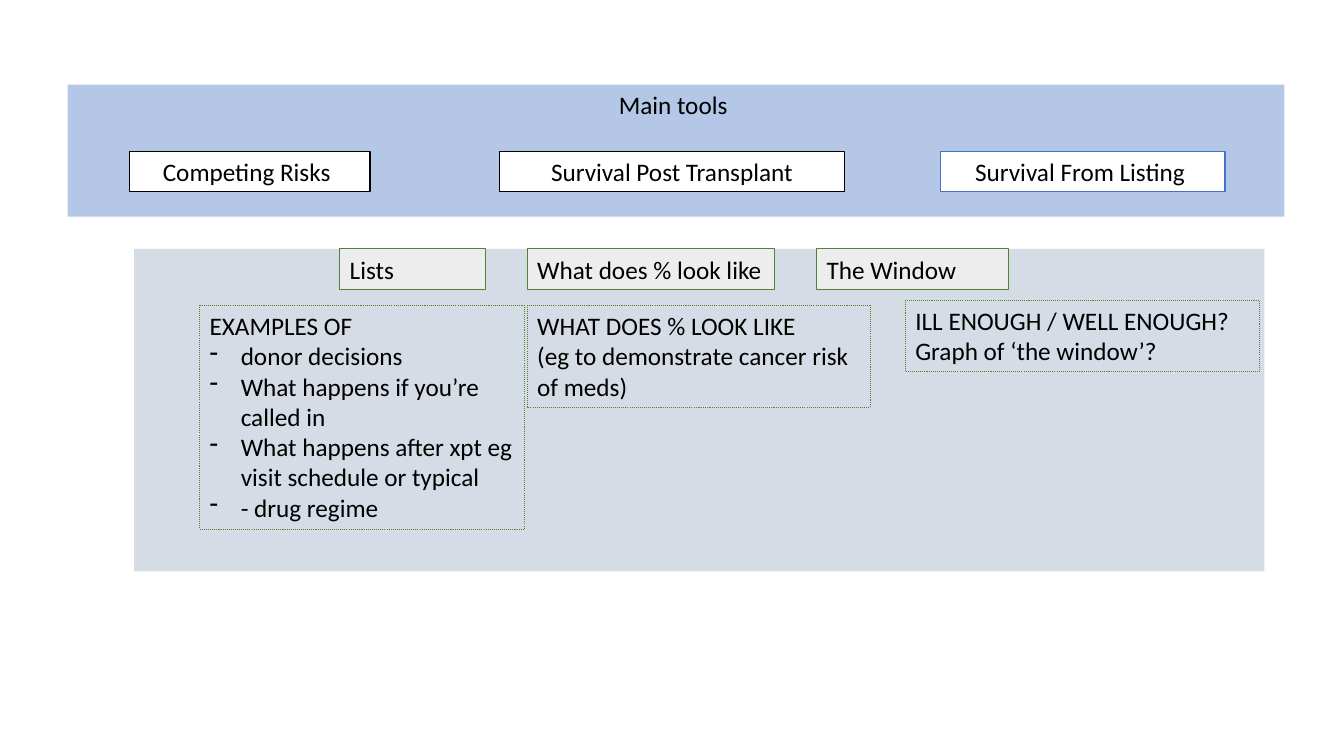
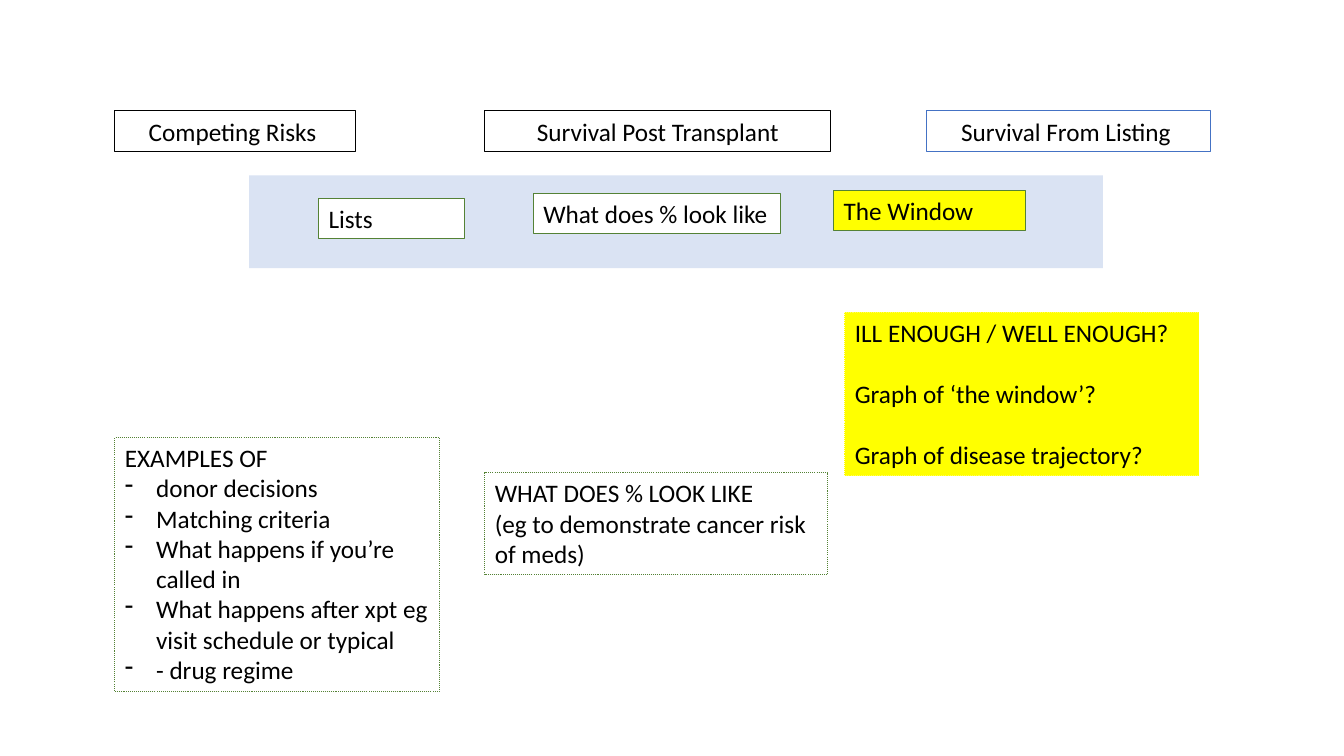
import pptx
import pptx.util
import pptx.dml.color
import pptx.enum.dml
import pptx.enum.shapes
import pptx.enum.text
import pptx.oxml.ns
from lxml import etree

Inches = pptx.util.Inches
Pt = pptx.util.Pt

BLACK, WHITE, BLUE, GREEN = "000000", "FFFFFF", "4472C4", "548235"
YELLOW, PALE_GREY = "FFFF00", "EDEDED"
ROW_HEIGHT = 0.4
TOOLS = [
    ("Competing Risks ", 0, 2.39, BLACK),
    ("Survival Post Transplant", 3.67, 3.43, BLACK),
    ("Survival From Listing ", 8.05, 2.82, BLUE),
]
TOPICS = [("Lists", 1.45), ("What does % look like", 2.45), ("The Window", 1.9)]
PERCENT_NOTE = ["WHAT DOES % LOOK LIKE", "(eg to demonstrate cancer risk of meds)"]
WINDOW_NOTE = ["ILL ENOUGH / WELL ENOUGH?", "Graph of ‘the window’?"]
EXAMPLES = [
    "donor decisions",
    "What happens if you’re called in",
    "What happens after xpt eg visit schedule or typical",
    "- drug regime",
]


def rgb(color):
    return pptx.dml.color.RGBColor.from_string(color)


class Deck:
    font = "Calibri"
    size = Pt(18)
    indent = Inches(0.31)

    def __init__(self):
        self.prs = pptx.Presentation()
        self.prs.slide_width = Inches(13.33)
        self.prs.slide_height = Inches(7.5)

    def new_slide(self):
        self.slide = self.prs.slides.add_slide(self.prs.slide_layouts[6])

    def set_lines(self, shape, lines, centred=False, bulleted=False, gap=0):
        frame = shape.text_frame
        frame.word_wrap = True
        frame.vertical_anchor = pptx.enum.text.MSO_ANCHOR.TOP
        frame.text = "\n".join(lines)
        align = pptx.enum.text.PP_ALIGN
        for index, paragraph in enumerate(frame.paragraphs):
            paragraph.alignment = align.CENTER if centred else align.LEFT
            if index and gap:
                paragraph.space_before = Pt(gap)
            if index and bulleted:
                self.bullet(paragraph)
            for run in paragraph.runs:
                run.font.name = self.font
                run.font.size = self.size
                run.font.color.rgb = rgb(BLACK)

    def bullet(self, paragraph):
        properties = paragraph._p.get_or_add_pPr()
        properties.set("marL", str(self.indent))
        properties.set("indent", str(-self.indent))
        etree.SubElement(properties, pptx.oxml.ns.qn("a:buChar")).set("char", "-")

    def band(self, left, top, width, height, fill, heading=None):
        band = self.slide.shapes.add_shape(
            pptx.enum.shapes.MSO_SHAPE.RECTANGLE,
            Inches(left), Inches(top), Inches(width), Inches(height))
        band.shadow.inherit = False
        band.fill.solid()
        band.fill.fore_color.rgb = rgb(fill)
        band.line.fill.background()
        if heading:
            self.set_lines(band, [heading], centred=True)

    def box(self, left, top, width, height, lines, line, fill=None, dotted=False, **text_style):
        box = self.slide.shapes.add_textbox(
            Inches(left), Inches(top), Inches(width), Inches(height))
        if fill:
            box.fill.solid()
            box.fill.fore_color.rgb = rgb(fill)
        box.line.color.rgb = rgb(line)
        box.line.width = Pt(0.75)
        if dotted:
            box.line.dash_style = pptx.enum.dml.MSO_LINE.ROUND_DOT
        self.set_lines(box, lines, **text_style)

    def tools(self, left, top, fill=None):
        for name, offset, width, line in TOOLS:
            self.box(left + offset, top, width, ROW_HEIGHT, [name], line, fill, centred=True)

    def topics(self, places, fills):
        for (name, width), (left, top), fill in zip(TOPICS, places, fills):
            self.box(left, top, width, ROW_HEIGHT, [name], GREEN, fill)

    def note(self, left, top, width, height, lines, line=GREEN, **style):
        self.box(left, top, width, height, lines, line, dotted=True, **style)

    def percent_note(self, left, top):
        self.note(left, top, 3.4, 1.01, PERCENT_NOTE)

    def examples(self, left, top, height, items):
        self.note(left, top, 3.22, height, ["EXAMPLES OF"] + items, bulleted=True)


def build_overview(deck):
    deck.new_slide()
    deck.band(1.33, 2.47, 11.21, 3.2, "D6DCE5")
    deck.band(0.67, 0.84, 12.07, 1.31, "B4C7E7", "Main tools ")
    deck.tools(1.28, 1.5, WHITE)
    deck.percent_note(5.23, 3.03)
    deck.examples(1.98, 3.03, 2.22, EXAMPLES)
    deck.note(8.98, 2.98, 3.51, 0.71, WINDOW_NOTE)
    deck.topics([(left, 2.47) for left in (3.37, 5.23, 8.1)], [PALE_GREY] * 3)


def build_window_focus(deck):
    deck.new_slide()
    deck.tools(1.14, 1.1)
    deck.percent_note(4.81, 4.69)
    deck.examples(1.14, 4.34, 2.52, EXAMPLES[:1] + ["Matching criteria"] + EXAMPLES[1:])
    deck.note(8.38, 3.1, 3.51, 1.62, WINDOW_NOTE + ["Graph of disease trajectory?"],
              YELLOW, fill=YELLOW, gap=22)
    deck.band(2.47, 1.74, 8.47, 0.92, "DAE3F3")
    deck.topics([(3.16, 1.97), (5.29, 1.92), (8.27, 1.89)], [WHITE, WHITE, YELLOW])


def main():
    deck = Deck()
    build_overview(deck)
    build_window_focus(deck)
    deck.prs.save("out.pptx")


if __name__ == "__main__":
    main()
